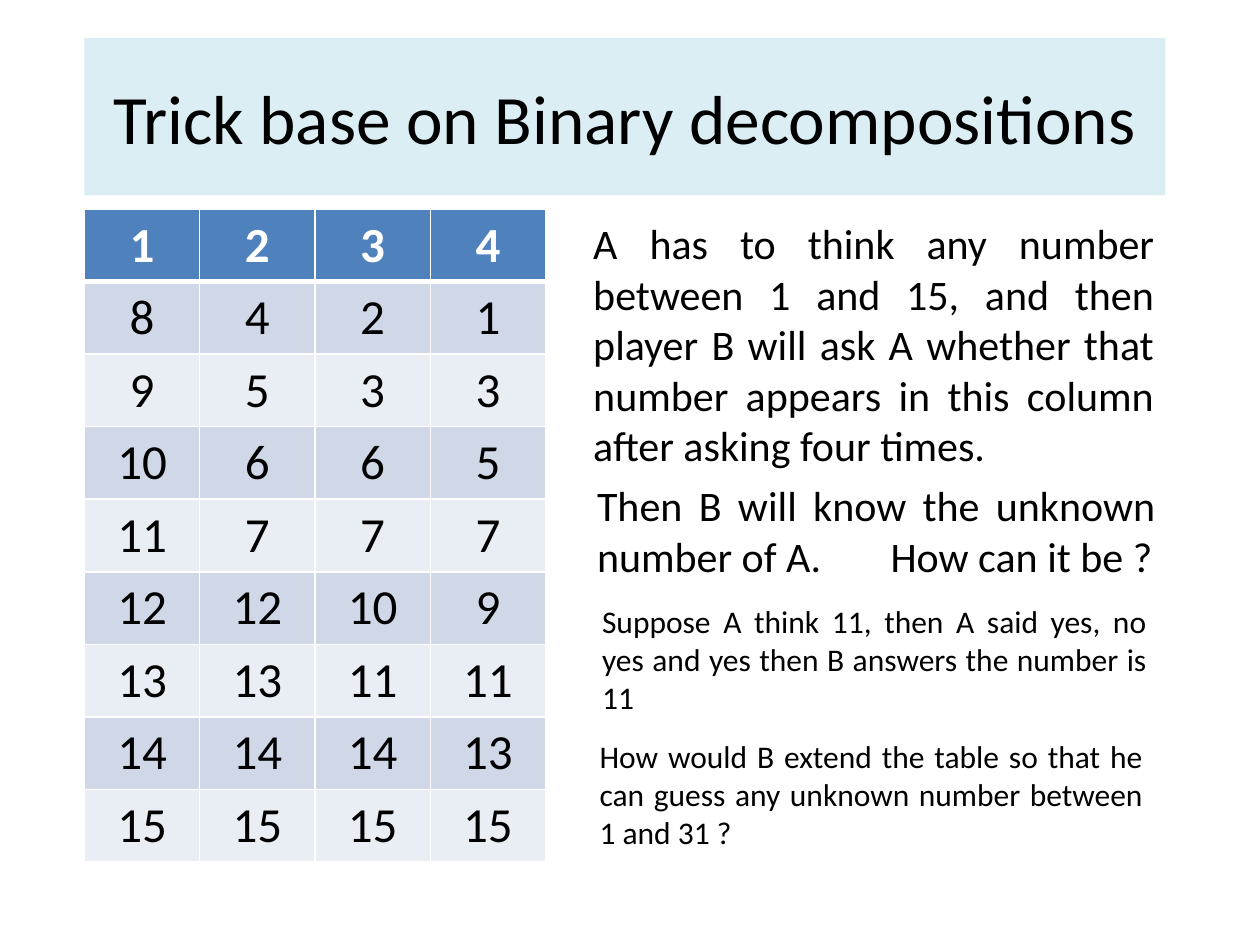
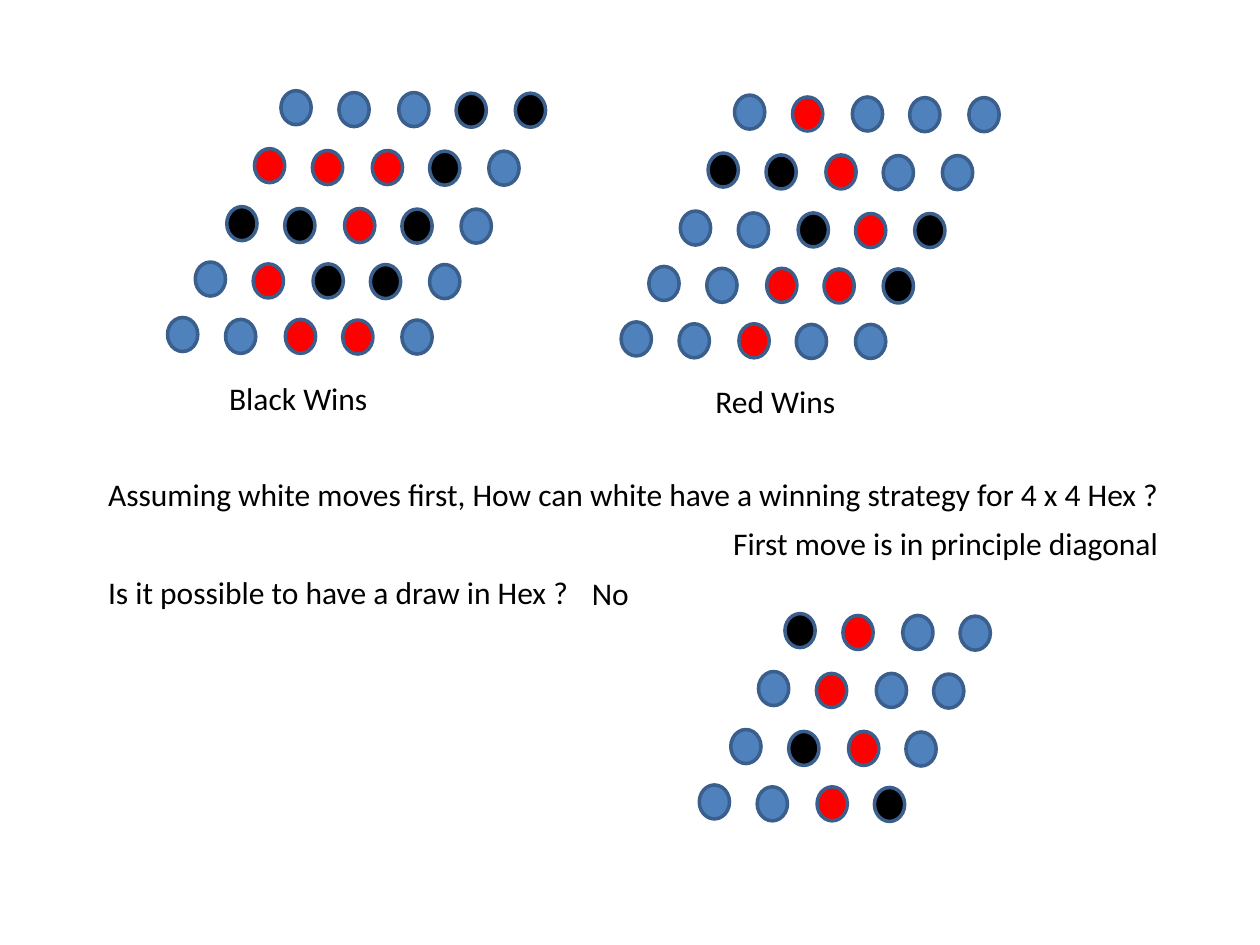
"""Builds two slides: a binary number trick and boards of the game Hex."""
from lxml import etree
from pptx import Presentation
from pptx.dml.color import RGBColor
from pptx.enum.shapes import MSO_SHAPE
from pptx.enum.text import MSO_ANCHOR, PP_ALIGN
from pptx.oxml import parse_xml
from pptx.oxml.ns import qn
from pptx.util import Inches, Pt

LEFT, MID, FULL = PP_ALIGN.LEFT, PP_ALIGN.CENTER, PP_ALIGN.JUSTIFY
RECT, OVAL, CENTER = MSO_SHAPE.RECTANGLE, MSO_SHAPE.OVAL, MSO_ANCHOR.MIDDLE
NS = "http://schemas.openxmlformats.org/drawingml/2006/main"
HEX = {"ink": "000000", "white": "FFFFFF", "band": "DBEEF4", "head": "4F81BD",
       "odd": "D0D8E8", "even": "E9EDF4", "red": "FF0000", "rim": "3A5F8C"}
RGB = {name: RGBColor.from_string(code) for name, code in HEX.items()}

deck = Presentation()
deck.slide_width, deck.slide_height = Inches(10), Inches(7.5)
COL, ROW = deck.slide_width / 100, deck.slide_height / 75


def grid(x, y, w, h):
    """Turn grid columns and rows into lengths."""
    return int(x * COL), int(y * ROW), int(w * COL), int(h * ROW)


def write(frame, words, size, align=LEFT, ink="ink", bold=False, tab=None):
    """Write one paragraph into a text frame."""
    para = frame.paragraphs[0]
    para.text = words
    para.alignment = align
    if tab:
        tabs = etree.SubElement(para._p.get_or_add_pPr(), qn("a:tabLst"))
        etree.SubElement(tabs, qn("a:tab"), pos=str(int(tab * COL)), algn="l")
    font = para.font
    font.name, font.size, font.bold = "Calibri", Pt(size), bold
    font.color.rgb = RGB[ink]


trick, game = [deck.slides.add_slide(deck.slide_layouts[6]) for _ in range(2)]

title = trick.shapes.add_shape(RECT, *grid(6.7, 3, 85.8, 12.5))
title.shadow.inherit = False
title.fill.solid()
title.fill.fore_color.rgb = RGB["band"]
title.line.fill.background()
title.text_frame.vertical_anchor = CENTER
write(title.text_frame, "Trick base on Binary decompositions", 39.6, MID)

lists = [[1, 8, 9, 10, 11, 12, 13, 14, 15], [2, 4, 5, 6, 7, 12, 13, 14, 15],
         [3, 2, 3, 6, 7, 10, 11, 14, 15], [4, 1, 3, 5, 7, 9, 11, 13, 15]]
for i, nums in enumerate(lists):
    area = grid(6.7 + 9.15 * i, 16.6, 9.15, 51)
    table = trick.shapes.add_table(len(nums), 1, *area).table
    for j, num in enumerate(nums):
        cell = table.cell(j, 0)
        props = cell._tc.get_or_add_tcPr()
        for side in "LRTB":
            wide = 3 if (j, side) in ((0, "B"), (1, "T")) else 1
            props.append(parse_xml(
                f'<a:ln{side} xmlns:a="{NS}" w="{Pt(wide)}"><a:solidFill>'
                f'<a:srgbClr val="{HEX["white"]}"/></a:solidFill></a:ln{side}>'))
        cell.fill.solid()
        tone = "head" if j == 0 else "odd" if j % 2 else "even"
        cell.fill.fore_color.rgb = RGB[tone]
        write(cell.text_frame, str(num), 28, MID, "ink" if j else "white", j == 0)

notes = [
    (46.1, 16.8, 46.5, 21.2, 24, None, "A has to think any number between 1 and 15, and then "
     "player B will ask A whether that number appears in this column after asking four times."),
    (46.4, 37.6, 46.3, 9.1, 24, 23.3,
     "Then B will know the unknown number of A.\tHow can it be ?"),
    (46.8, 47.3, 45.2, 10.1, 18, None, "Suppose A think 11, then A said yes, no yes and yes "
     "then B answers the number is 11"),
    (46.6, 58, 45.1, 10.1, 18, None, "How would B extend the table so that he can guess any "
     "unknown number between 1 and 31 ?")]
for x, y, w, h, size, tab, words in notes:
    frame = trick.shapes.add_textbox(*grid(x, y, w, h)).text_frame
    frame.word_wrap = True
    write(frame, words, size, FULL, tab=tab)

slant = [(0, 0), (-2.1, 4.6), (-4.3, 9.2), (-6.8, 13.6), (-9, 18)]
steps = [(0, 0), (4.6, 0.15), (9.35, 0.15), (13.9, 0.2), (18.6, 0.2)]
tones = {".": "head", "K": "ink", "R": "red"}
boards = [(22.3, 7.2, "...KK RRRK. KKRK. .RKK. ..RR."),
          (58.3, 7.55, ".R... KKR.. ..KRK ..RRK ..R.."),
          (62.3, 48.7, "KR.. .R.. .KR. ..RK")]
for x, y, rows in boards:
    for (dx, dy), marks in zip(slant, rows.split()):
        for (sx, sy), mark in zip(steps, marks):
            disc = game.shapes.add_shape(OVAL, *grid(x + dx + sx, y + dy + sy, 2.4, 2.7))
            disc.shadow.inherit = False
            disc.fill.solid()
            disc.fill.fore_color.rgb = RGB[tones[mark]]
            disc.line.color.rgb = RGB["rim"]
            disc.line.width = Pt(2)

lines = [(17.2, 29.6, 13.1, "Black Wins"), (55.8, 29.8, 11.7, "Red Wins"),
         (7.6, 37.2, 85.6, "Assuming white moves first, How can white have a winning "
          "strategy for 4 x 4 Hex ?"),
         (57.2, 41.1, 36.1, "First move is in principle diagonal"),
         (7.6, 45, 39.6, "Is it possible to have a draw in Hex ?"), (46, 45.1, 5.6, "No")]
for x, y, w, words in lines:
    frame = game.shapes.add_textbox(*grid(x, y, w, 4)).text_frame
    frame.word_wrap = False
    write(frame, words, 18)

deck.save("out.pptx")
